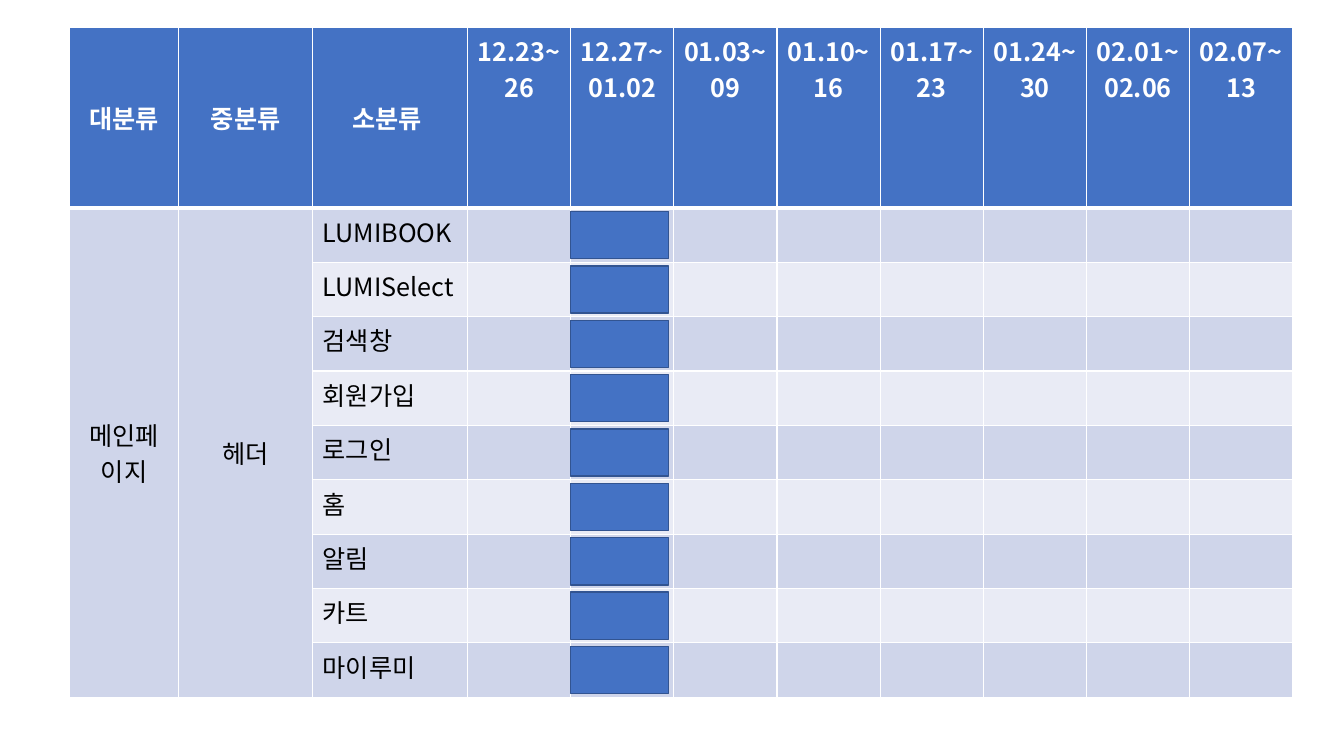
from dataclasses import dataclass
from lxml import etree
from pptx import Presentation
from pptx.dml.color import RGBColor
from pptx.enum.shapes import MSO_SHAPE
from pptx.enum.text import MSO_ANCHOR, PP_ALIGN
from pptx.oxml.ns import qn
from pptx.util import Cm, Pt

RECT = MSO_SHAPE.RECTANGLE
TOP, MIDDLE = MSO_ANCHOR.TOP, MSO_ANCHOR.MIDDLE
LEFT, CENTER = PP_ALIGN.LEFT, PP_ALIGN.CENTER


@dataclass(frozen=True)
class Theme:
    font: str = "Noto Sans CJK KR"
    size: int = 18
    header: str = "4472C4"
    bar_line: str = "325491"
    bands: tuple = ("CFD5EA", "E9EBF5")
    white: str = "FFFFFF"
    black: str = "000000"
    rule: int = 1
    header_rule: int = 3


T = Theme()
LEVELS = ["대분류", "중분류", "소분류\u00a0"]
WEEKS = ["12.23~26", "12.27~01.02", "01.03~09", "01.10~16",
         "01.17~23", "01.24~30", "02.01~02.06", "02.07~13"]
GROUPS = ["메인페이지", "헤더"]
TASKS = ["LUMIBOOK", "LUMISelect", "검색창", "회원가입\u00a0", "로그인",
         "홈", "알림", "카트", "마이루미"]
TASK_WEEK = 1

TABLE_X, TABLE_Y = 1.75, 0.68
LEVEL_W, WEEK_W = [2.75, 3.38, 3.9], 2.6
HEADER_H, ROW_H = 4.56, 1.37
BAR_W, BAR_H = 2.47, 1.19


def rgb(value):
    return RGBColor.from_string(value)


def write(cell, text, color=T.black, bold=False, align=LEFT, anchor=TOP):
    cell.vertical_anchor = anchor
    p = cell.text_frame.paragraphs[0]
    p.alignment = align
    r = p.add_run()
    r.text = text
    r.font.name, r.font.size, r.font.bold = T.font, Pt(T.size), bold
    r.font.color.rgb = rgb(color)
    ea = etree.SubElement(r.font._element, qn("a:ea"))
    ea.set("typeface", T.font)


def style(cell, fill, top, bottom):
    tcPr = cell._tc.get_or_add_tcPr()
    for side, width in zip("LRTB", (T.rule, T.rule, top, bottom)):
        ln = etree.SubElement(tcPr, qn(f"a:ln{side}"), w=str(Pt(width)))
        solid = etree.SubElement(ln, qn("a:solidFill"))
        etree.SubElement(solid, qn("a:srgbClr"), val=T.white)
    cell.fill.solid()
    cell.fill.fore_color.rgb = rgb(fill)


prs = Presentation()
prs.slide_width, prs.slide_height = Cm(33.87), Cm(19.05)
s = prs.slides.add_slide(prs.slide_layouts[6])

widths = LEVEL_W + [WEEK_W] * len(WEEKS)
heights = [HEADER_H] + [ROW_H] * len(TASKS)
table = s.shapes.add_table(len(heights), len(widths), Cm(TABLE_X), Cm(TABLE_Y),
                           Cm(sum(widths)), Cm(sum(heights))).table
for column, width in zip(table.columns, widths):
    column.width = Cm(width)
for row, height in zip(table.rows, heights):
    row.height = Cm(height)

for i in range(len(heights)):
    for j in range(len(widths)):
        fill = T.bands[(i - 1) % 2] if i and j >= len(GROUPS) else T.bands[0]
        style(table.cell(i, j), fill if i else T.header,
              T.header_rule if i == 1 else T.rule,
              T.rule if i else T.header_rule)

for j, text in enumerate(LEVELS + WEEKS):
    write(table.cell(0, j), text, color=T.white, bold=True, align=CENTER,
          anchor=MIDDLE if j < len(LEVELS) else TOP)
for j, text in enumerate(GROUPS):
    table.cell(1, j).merge(table.cell(len(TASKS), j))
    write(table.cell(1, j), text, align=CENTER, anchor=MIDDLE)

bar_x = TABLE_X + sum(LEVEL_W) + TASK_WEEK * WEEK_W
for i, text in enumerate(TASKS):
    write(table.cell(i + 1, len(GROUPS)), text)
    bar_y = TABLE_Y + HEADER_H + i * ROW_H + (ROW_H - BAR_H) / 2
    bar = s.shapes.add_shape(RECT, Cm(bar_x), Cm(bar_y), Cm(BAR_W), Cm(BAR_H))
    bar.shadow.inherit = False
    bar.fill.solid()
    bar.fill.fore_color.rgb = rgb(T.header)
    bar.line.color.rgb = rgb(T.bar_line)
    bar.line.width = Pt(T.rule)

prs.save("out.pptx")
